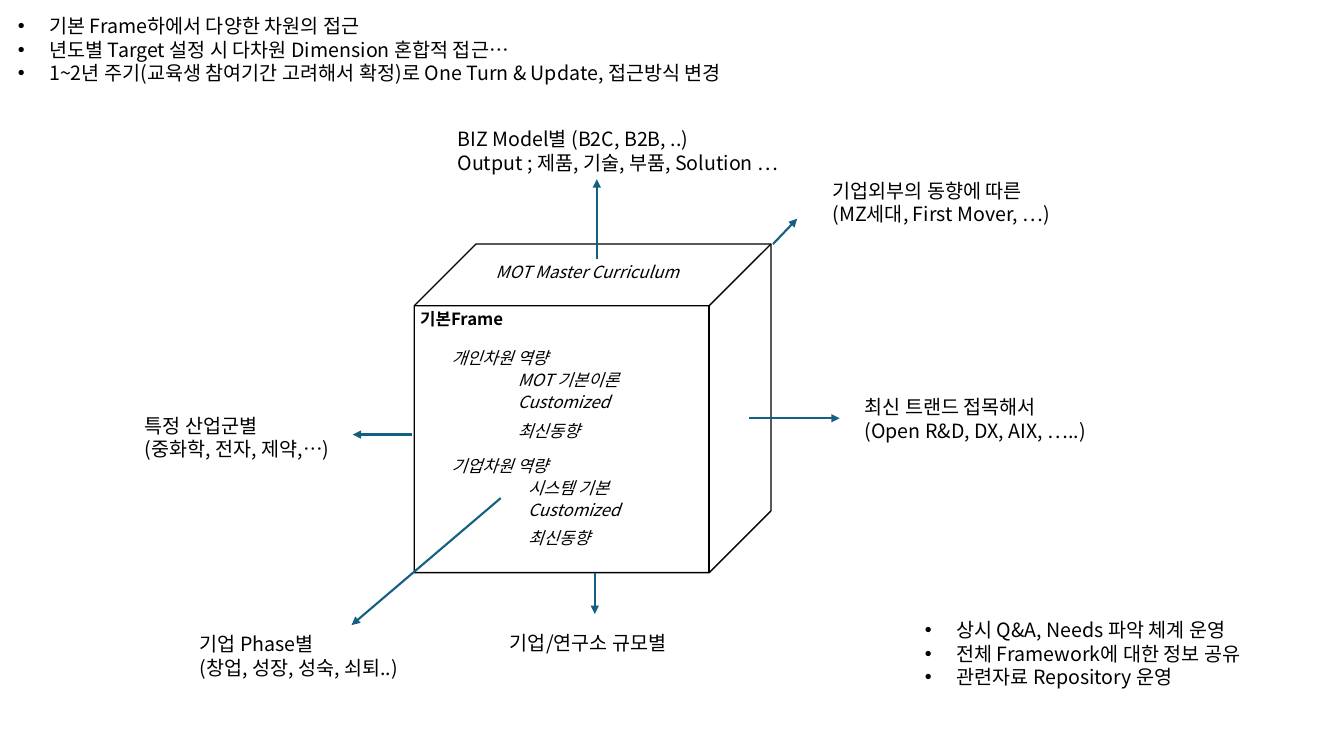
from lxml import etree
from pptx import Presentation
from pptx.dml.color import RGBColor
from pptx.enum.shapes import MSO_CONNECTOR, MSO_SHAPE
from pptx.enum.text import MSO_ANCHOR, MSO_AUTO_SIZE, PP_ALIGN
from pptx.oxml.ns import qn
from pptx.util import Cm, Pt

LEFT, CENTER = PP_ALIGN.LEFT, PP_ALIGN.CENTER
TOP = MSO_ANCHOR.TOP
GROW, FIXED = MSO_AUTO_SIZE.SHAPE_TO_FIT_TEXT, MSO_AUTO_SIZE.NONE
CUBE, STRAIGHT = MSO_SHAPE.CUBE, MSO_CONNECTOR.STRAIGHT

LISTS = [
    ((0.2, 0.23, 21.82, 2.06), [
        "기본 Frame하에서 다양한 차원의 접근",
        "년도별 Target 설정 시 다차원 Dimension 혼합적 접근…",
        "1~2년 주기(교육생 참여기간 고려해서 확정)로 One Turn & Update, 접근방식 변경",
    ]),
    ((23.06, 15.44, 9.17, 2.64), [
        "상시 Q&A, Needs 파악 체계 운영",
        "전체 Framework에 대한 정보 공유",
        "관련자료 Repository 운영",
    ]),
]
DIMENSIONS = [
    ((11.28, 3.07, 8.84, 1.45), ["BIZ Model별 (B2C, B2B, ..)", "Output ; 제품, 기술, 부품, Solution …"]),
    ((20.73, 4.37, 6.02, 1.45), ["기업외부의 동향에 따른", "(MZ세대, First Mover, …)"]),
    ((21.54, 9.83, 6.15, 1.45), ["최신 트랜드 접목해서", "(Open R&D, DX, AIX, …..)"]),
    ((3.4, 10.29, 5.36, 1.45), ["특정 산업군별", "(중화학, 전자, 제약,…)"]),
    ((4.78, 15.8, 5.89, 1.45), ["기업 Phase별", "(창업, 성장, 성숙, 쇠퇴..)"]),
    ((12.6, 15.77, 4.88, 0.86), ["기업/연구소 규모별"]),
]
ARROWS = [
    (18.87, 10.54, 21.16, 10.54),
    (15.04, 6.53, 15.04, 4.52),
    (10.39, 10.95, 8.89, 10.95),
    (14.99, 14.43, 14.99, 15.47),
    (12.62, 12.55, 8.86, 15.75),
    (19.48, 6.15, 20.09, 5.51),
]
CURRICULUM = ((12.29, 6.5, 5.03, 0.76), "MOT Master Curriculum")
FRAME_NAME = ((10.34, 7.65, 2.62, 0.76), "기본Frame")
COMPETENCIES = [
    (8.66, 12.95, "개인차원 역량", ["MOT 기본이론", "Customized", "최신동향"]),
    (11.38, 13.21, "기업차원 역량", ["시스템 기본", "Customized", "최신동향"]),
]
HEADING_LEFT, COMPETENCY_WIDTH, COMPETENCY_HEIGHT = 11.28, 3.94, 0.71
ITEM_DROPS = (0.56, 1.12, 1.83)
CUBE_PLACE, CUBE_DEPTH = (10.44, 6.15, 8.99, 8.28), 0.188

THEME = {
    "font": "Noto Sans CJK KR",
    "ink": RGBColor(0x00, 0x00, 0x00),
    "arrow": RGBColor(0x15, 0x60, 0x82),
    "body": 14,
    "label": 12,
    "leading": 1.2,
    "indent": Cm(0.79),
}
WIDE_INSETS = {"margin_left": Cm(0.25), "margin_right": Cm(0.25),
               "margin_top": Cm(0.13), "margin_bottom": Cm(0.13)}
TIGHT_INSETS = dict.fromkeys(WIDE_INSETS, Cm(0.1))
BODY_FRAME = {"word_wrap": True, "auto_size": GROW, "vertical_anchor": TOP, **WIDE_INSETS}
LABEL_FRAME = {**BODY_FRAME, "auto_size": FIXED, **TIGHT_INSETS}


def set_all(target, values):
    for name, value in values.items():
        setattr(target, name, value)


def place(box, position):
    set_all(box, dict(zip(("left", "top", "width", "height"), map(Cm, position))))


def write(box, lines, size, frame_format, align=LEFT, bullets=False, **style):
    frame = box.text_frame
    set_all(frame, frame_format)
    for index, line in enumerate(lines):
        para = frame.paragraphs[0] if index == 0 else frame.add_paragraph()
        set_all(para, {"alignment": align, "line_spacing": Pt(size * THEME["leading"]),
                       "space_before": Pt(0), "space_after": Pt(0)})
        span = para.add_run()
        span.text = line
        set_all(span.font, {"name": THEME["font"], "size": Pt(size), **style})
        span.font.color.rgb = THEME["ink"]
        etree.SubElement(span.font._element, qn("a:ea"), typeface=THEME["font"])
        if bullets:
            properties = para._p.get_or_add_pPr()
            properties.set("marL", str(THEME["indent"]))
            properties.set("indent", str(-THEME["indent"]))
            etree.SubElement(properties, qn("a:buFont"), typeface="Arial")
            etree.SubElement(properties, qn("a:buChar"), char="•")


def add_text(page, position, lines, *args, **style):
    box = page.shapes.add_textbox(*map(Cm, position))
    write(box, lines, *args, **style)


def add_arrow(page, ends):
    arrow = page.shapes.add_connector(STRAIGHT, *map(Cm, ends))
    arrow.line.color.rgb = THEME["arrow"]
    arrow.line.width = Pt(1.5)
    etree.SubElement(arrow.line._get_or_add_ln(), qn("a:tailEnd"), type="triangle")
    etree.SubElement(arrow._element.spPr, qn("a:effectLst"))


def add_cube(page):
    cube = page.shapes.add_shape(CUBE, *map(Cm, CUBE_PLACE))
    cube.adjustments[0] = CUBE_DEPTH
    cube.shadow.inherit = False
    cube.fill.background()
    cube.line.color.rgb = THEME["ink"]
    cube.line.width = Pt(1)


def add_competencies(page):
    for top, item_left, heading, items in COMPETENCIES:
        rows = [(HEADING_LEFT, top, heading)]
        rows += [(item_left, top + drop, item) for drop, item in zip(ITEM_DROPS, items)]
        for left, row_top, text in rows:
            position = (left, row_top, COMPETENCY_WIDTH, COMPETENCY_HEIGHT)
            add_text(page, position, [text], THEME["label"], LABEL_FRAME, italic=True)


def main():
    deck = Presentation()
    set_all(deck, {"slide_width": Cm(33.87), "slide_height": Cm(19.05)})
    page = deck.slides.add_slide(deck.slide_layouts[3])
    title, *bodies = list(page.placeholders)[:3]
    title._element.getparent().remove(title._element)
    for body, (position, lines) in zip(bodies, LISTS):
        place(body, position)
        write(body, lines, THEME["body"], BODY_FRAME, bullets=True)

    add_cube(page)
    position, text = CURRICULUM
    add_text(page, position, [text], THEME["label"], LABEL_FRAME, CENTER, italic=True)
    add_competencies(page)
    for ends in ARROWS:
        add_arrow(page, ends)
    for position, lines in DIMENSIONS:
        add_text(page, position, lines, THEME["body"], BODY_FRAME)
    position, text = FRAME_NAME
    add_text(page, position, [text], THEME["label"], BODY_FRAME, bold=True)
    deck.save("out.pptx")


if __name__ == "__main__":
    main()
